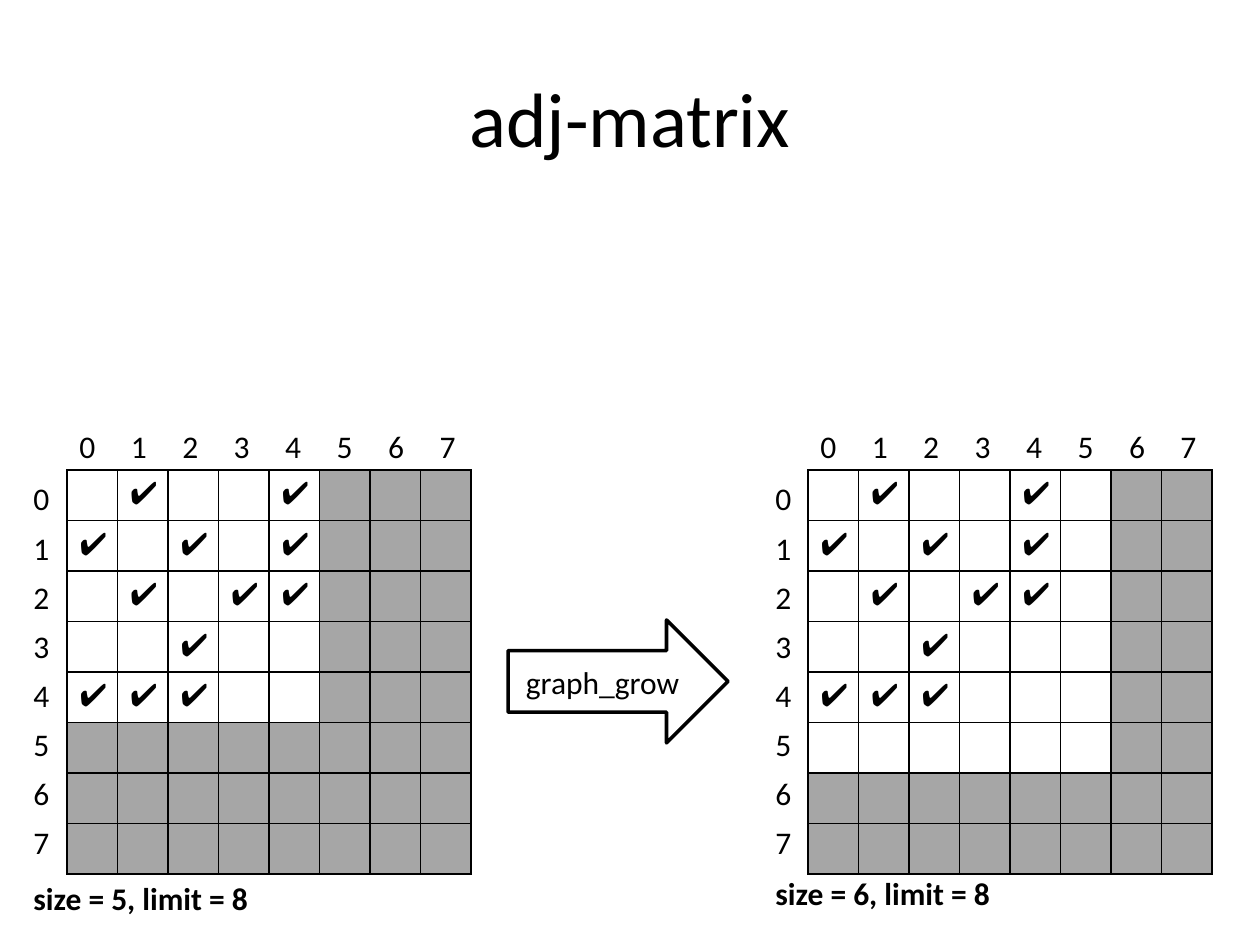
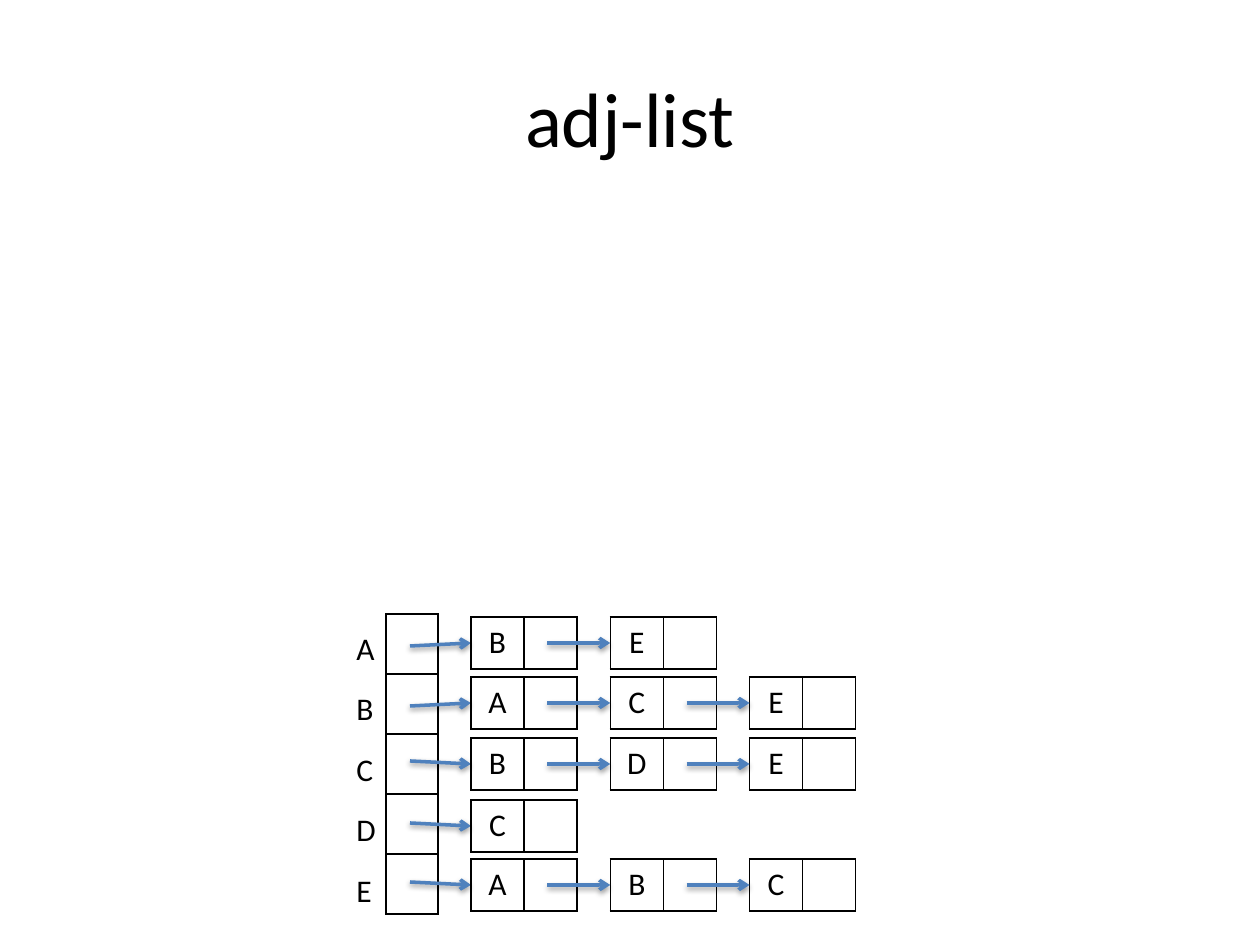
import pptx
import pptx.util
import pptx.dml.color
import pptx.enum.shapes
import pptx.enum.text
import pptx.oxml
import lxml.etree

SCALE = 914400 / 126  # EMU in one pixel
FONT = "Calibri"
BLACK, WHITE, GREY, BLUE = "000000", "FFFFFF", "A6A6A6", "4F81BD"
CHECK = "\u2714"
DRAWING = 'xmlns:a="http://schemas.openxmlformats.org/drawingml/2006/main"'
ALIGN = pptx.enum.text.PP_ALIGN
MIDDLE = pptx.enum.text.MSO_ANCHOR.MIDDLE

TITLE_BOX = (63, 38, 1134, 158)
GRID_LIMIT = 8
CELL = 50.5
EDGES = {(0, 1), (0, 4), (1, 0), (1, 2), (1, 4), (2, 1), (2, 3), (2, 4),
         (3, 2), (4, 0), (4, 1), (4, 2)}
NODE_PITCH = 139.3
NODE_WIDTH, NODE_HEIGHT = 106, 52
# name, top of its nodes, rise of the first arrow, neighbours
LISTS = [("A", 617, 3, "BE"), ("B", 677, 3, "ACE"), ("C", 738, -3, "BDE"),
         ("D", 800, -3, "C"), ("E", 859, -3, "ABC")]


def px(length):
    """Turn pixels into EMU."""
    return pptx.util.Emu(round(length * SCALE))


def place(box):
    """Turn a pixel box into EMU lengths."""
    return [px(length) for length in box]


def color(code):
    """Turn a hex string into a colour."""
    return pptx.dml.color.RGBColor.from_string(code)


def add_xml(parent, markup):
    """Append one DrawingML element, written with the a: prefix."""
    head, gap, rest = markup.partition(">")
    closing = "/" if head.endswith("/") else ""
    opening = head.removesuffix("/")
    parent.append(pptx.oxml.parse_xml(f"{opening} {DRAWING}{closing}{gap}{rest}"))


def write(frame, text, size=18, font=FONT, bold=False, align=ALIGN.LEFT,
          spacing=None, anchor=None):
    """Fill a text frame, one paragraph for each line of text."""
    if anchor is not None:
        frame.vertical_anchor = anchor
    for index, line in enumerate(text.split("\n")):
        para = frame.paragraphs[0] if index == 0 else frame.add_paragraph()
        para.alignment = align
        if spacing:
            para.line_spacing = spacing
        span = para.add_run()
        span.text = line
        span.font.name = font
        span.font.size = pptx.util.Pt(size)
        span.font.bold = bold
        span.font.color.rgb = color(BLACK)


def add_label(page, box, text, wrap=False, **style):
    """Add a text box that grows with its text."""
    frame = page.shapes.add_textbox(*place(box)).text_frame
    frame.word_wrap = wrap
    frame.auto_size = pptx.enum.text.MSO_AUTO_SIZE.SHAPE_TO_FIT_TEXT
    write(frame, text, **style)
    return frame


def add_grid(page, box, rows, columns):
    """Add an unfilled table with thin black borders and even cells."""
    table = page.shapes.add_table(rows, columns, *place(box)).table
    table.first_row = table.horz_banding = False
    for column in table.columns:
        column.width = px(box[2] / columns)
    for row in table.rows:
        row.height = px(box[3] / rows)
    for cell in table.iter_cells():
        properties = cell._tc.get_or_add_tcPr()
        for side in "LRTB":
            add_xml(properties, f'<a:ln{side} w="12700"><a:solidFill>'
                    f'<a:srgbClr val="{BLACK}"/></a:solidFill></a:ln{side}>')
        cell.fill.background()
    return table


def add_pointer(page, start, end):
    """Add a blue arrow with a soft shadow."""
    line = page.shapes.add_connector(
        pptx.enum.shapes.MSO_CONNECTOR.STRAIGHT, *place(start + end))
    line.line.color.rgb = color(BLUE)
    line.line.width = pptx.util.Pt(2)
    add_xml(line.line._get_or_add_ln(), '<a:tailEnd type="arrow"/>')
    add_xml(line._element.spPr,
            '<a:effectLst><a:outerShdw blurRad="40000" dist="20000" dir="5400000" '
            f'rotWithShape="0"><a:srgbClr val="{BLACK}"><a:alpha val="38000"/>'
            '</a:srgbClr></a:outerShdw></a:effectLst>')


def add_page(deck, title):
    """Add a title-only slide and format its title."""
    page = deck.slides.add_slide(deck.slide_layouts[5])
    shape = page.shapes.title
    shape.left, shape.top, shape.width, shape.height = place(TITLE_BOX)
    write(shape.text_frame, title, size=44, align=ALIGN.CENTER, anchor=MIDDLE)
    return page


def add_matrix(page, left, top, size, label_left, caption_top):
    """Add an adjacency matrix with its indices and caption."""
    side = GRID_LIMIT * CELL
    indices = [str(index) for index in range(GRID_LIMIT)]
    add_label(page, (label_left, top - 8, 42, 408), "\n".join(indices), spacing=1.3)
    header = add_label(page, (left, top - 49, side + 2, 50), "\t".join(indices), wrap=True)
    stops = "".join(f'<a:tab pos="{px(51.45 * index)}" algn="l"/>'
                    for index in range(1, GRID_LIMIT))
    add_xml(header.paragraphs[0]._p.get_or_add_pPr(), f"<a:tabLst>{stops}</a:tabLst>")

    table = add_grid(page, (left, top, side, side), GRID_LIMIT, GRID_LIMIT)
    for row in range(GRID_LIMIT):
        for column in range(GRID_LIMIT):
            cell = table.cell(row, column)
            if max(row, column) >= size:
                cell.fill.solid()
                cell.fill.fore_color.rgb = color(GREY)
            if (row, column) in EDGES:
                write(cell.text_frame, CHECK, font="Arial")
    add_label(page, (label_left, caption_top, 243, 50),
              f"size = {size}, limit = {GRID_LIMIT}", bold=True)


def add_step(page, box, text):
    """Add an outlined block arrow that names an operation."""
    shape = page.shapes.add_shape(
        pptx.enum.shapes.MSO_SHAPE.RIGHT_ARROW, *place(box))
    shape.shadow.inherit = False
    shape.fill.solid()
    shape.fill.fore_color.rgb = color(WHITE)
    shape.line.color.rgb = color(BLACK)
    shape.line.width = pptx.util.Pt(2)
    write(shape.text_frame, text, align=ALIGN.CENTER, anchor=MIDDLE)


def add_chain(page, left, top, rise, names):
    """Add one row of linked nodes, entered from the index table."""
    middle = top + NODE_HEIGHT / 2
    add_pointer(page, (left - 61, middle + rise), (left, middle))
    for index, name in enumerate(names):
        node_left = left + index * NODE_PITCH
        node = add_grid(page, (node_left, top, NODE_WIDTH, NODE_HEIGHT), 1, 2)
        write(node.cell(0, 0).text_frame, name, align=ALIGN.CENTER)
        if index:
            add_pointer(page, (node_left - 63, middle), (node_left, middle))


def add_lists(page, left, top):
    """Add the index table, its names and the chains of neighbours."""
    add_grid(page, (left, top, 52, 300), len(LISTS), 1)
    names = "\n".join(entry[0] for entry in LISTS)
    add_label(page, (left - 42, top - 14, 45, 314), names, spacing=1.6)
    for _, chain_top, rise, neighbours in LISTS:
        add_chain(page, left + 85, chain_top, rise, neighbours)


def build():
    """Build and save the deck."""
    deck = pptx.Presentation()
    deck.slide_width, deck.slide_height = px(1260), px(945)

    page = add_page(deck, "adj-matrix")
    add_matrix(page, 67, 470, size=5, label_left=21, caption_top=873)
    add_matrix(page, 808, 470, size=6, label_left=763, caption_top=868)
    add_step(page, (508, 620, 220, 123), "graph_grow")

    page = add_page(deck, "adj-list")
    add_lists(page, 386, 614)
    deck.save("out.pptx")


build()
